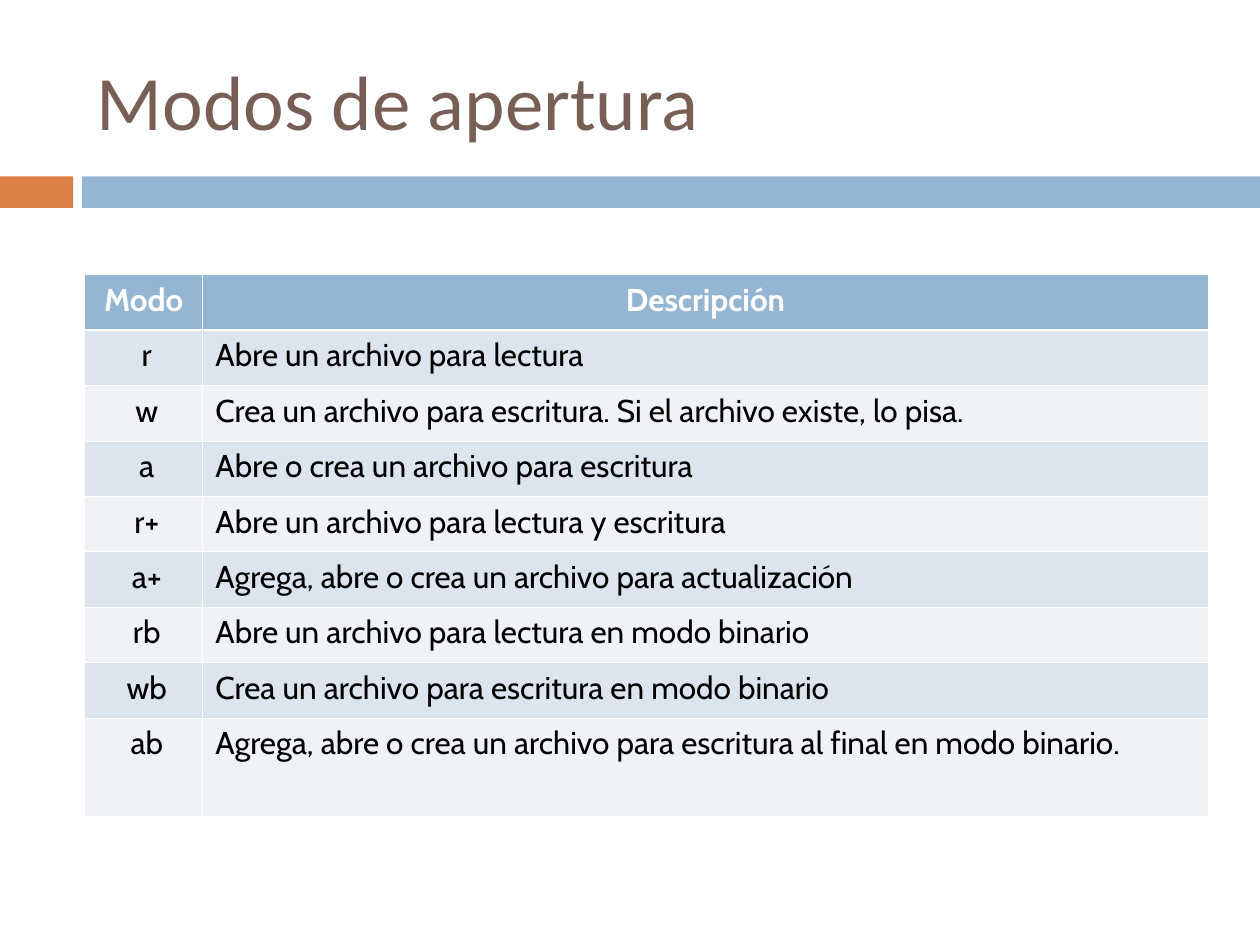
from lxml import etree
from pptx import Presentation, util as u
from pptx.dml.color import RGBColor
from pptx.enum import shapes, text
from pptx.oxml.ns import qn

WIDTH, HEIGHT = 10, 7.5
LEFT, CONTENT_WIDTH = 0.67, 8.92
BAND_TOP, BAND_HEIGHT = 1.4, 0.25
TABLE_TOP, ROW_HEIGHT, LAST_ROW_HEIGHT = 2.18, 0.44, 0.78
MODE_WIDTH = 0.94
THIN, THICK = 0.45, 1.47

BLUE, ORANGE, BROWN = "94B6D2", "DD8047", "775F55"
WHITE, BLACK = "FFFFFF", "000000"
STRIPES = ("DCE5EE", "EFF3F7")

HEADER = ("Modo", "Descripción")
MODES = [
    ("r", "Abre un archivo para lectura"),
    ("w", "Crea un archivo para escritura. Si el archivo existe, lo pisa."),
    ("a", "Abre o crea un archivo para escritura"),
    ("r+", "Abre un archivo para lectura y escritura"),
    ("a+", "Agrega, abre o crea un archivo para actualización"),
    ("rb", "Abre un archivo para lectura en modo binario"),
    ("wb", "Crea un archivo para escritura en modo binario"),
    ("ab", "Agrega, abre o crea un archivo para escritura al final en modo binario."),
]


def color(value):
    return RGBColor.from_string(value)


def paint(target, value):
    target.fill.solid()
    target.fill.fore_color.rgb = color(value)


def write(frame, words, font, size, value, bold=False, align=text.PP_ALIGN.LEFT):
    paragraph = frame.paragraphs[0]
    paragraph.text = words
    paragraph.alignment = align
    paragraph.font.name = font
    paragraph.font.size = u.Pt(size)
    paragraph.font.bold = bold
    paragraph.font.color.rgb = color(value)


def add_band(slide, left, width, value):
    band = slide.shapes.add_shape(
        shapes.MSO_SHAPE.RECTANGLE,
        *map(u.Inches, (left, BAND_TOP, width, BAND_HEIGHT)))
    band.shadow.inherit = False
    paint(band, value)
    band.line.fill.background()


def add_title(slide, words):
    title = slide.shapes.add_textbox(
        *map(u.Inches, (LEFT, 0.25, CONTENT_WIDTH, 1.08)))
    frame = title.text_frame
    frame.word_wrap = True
    frame.vertical_anchor = text.MSO_ANCHOR.MIDDLE
    write(frame, words, "Calibri", 44, BROWN)


def set_borders(cell, top, bottom):
    """Draw white borders; they must stand before the fill in the cell."""
    properties = cell._tc.get_or_add_tcPr()
    widths = {"a:lnL": THIN, "a:lnR": THIN, "a:lnT": top, "a:lnB": bottom}
    for place, (tag, width) in enumerate(widths.items()):
        line = etree.Element(qn(tag), w=str(u.Pt(width)))
        fill = etree.SubElement(line, qn("a:solidFill"))
        etree.SubElement(fill, qn("a:srgbClr"), val=WHITE)
        properties.insert(place, line)


def add_mode_table(slide):
    rows = [HEADER, *MODES]
    height = ROW_HEIGHT * len(MODES) + LAST_ROW_HEIGHT
    table = slide.shapes.add_table(
        len(rows), len(HEADER),
        *map(u.Inches, (LEFT, TABLE_TOP, CONTENT_WIDTH, height))).table
    table.columns[0].width = u.Inches(MODE_WIDTH)
    table.columns[1].width = u.Inches(CONTENT_WIDTH - MODE_WIDTH)

    for r, row in enumerate(rows):
        is_header = r == 0
        is_last = r == len(rows) - 1
        table.rows[r].height = u.Inches(LAST_ROW_HEIGHT if is_last else ROW_HEIGHT)
        for c, words in enumerate(row):
            cell = table.cell(r, c)
            centred = is_header or c == 0
            write(cell.text_frame, words, "Cabin", 18,
                  WHITE if is_header else BLACK, bold=is_header,
                  align=text.PP_ALIGN.CENTER if centred else text.PP_ALIGN.LEFT)
            # Mode names sit slightly right of the column's centre
            if c == 0 and not is_header:
                cell.margin_left = u.Inches(0.15)
            paint(cell, BLUE if is_header else STRIPES[(r - 1) % 2])
            set_borders(cell, top=THICK if r == 1 else THIN,
                        bottom=THICK if is_header else THIN)


def main():
    presentation = Presentation()
    presentation.slide_width = u.Inches(WIDTH)
    presentation.slide_height = u.Inches(HEIGHT)
    slide = presentation.slides.add_slide(presentation.slide_layouts[6])

    # Band under the title
    add_band(slide, 0, 0.58, ORANGE)
    add_band(slide, 0.65, WIDTH - 0.65, BLUE)

    # Title and table of modes
    add_title(slide, "Modos de apertura")
    add_mode_table(slide)

    presentation.save("out.pptx")


if __name__ == "__main__":
    main()
